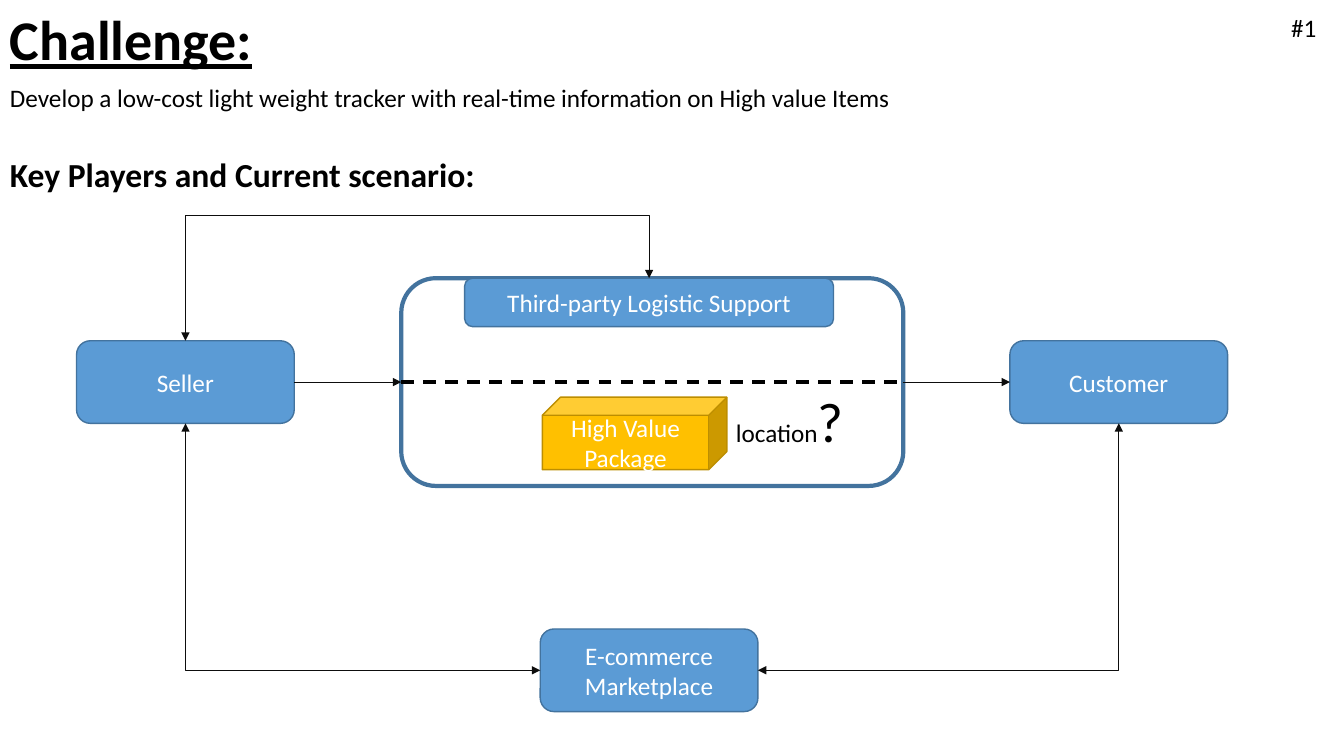
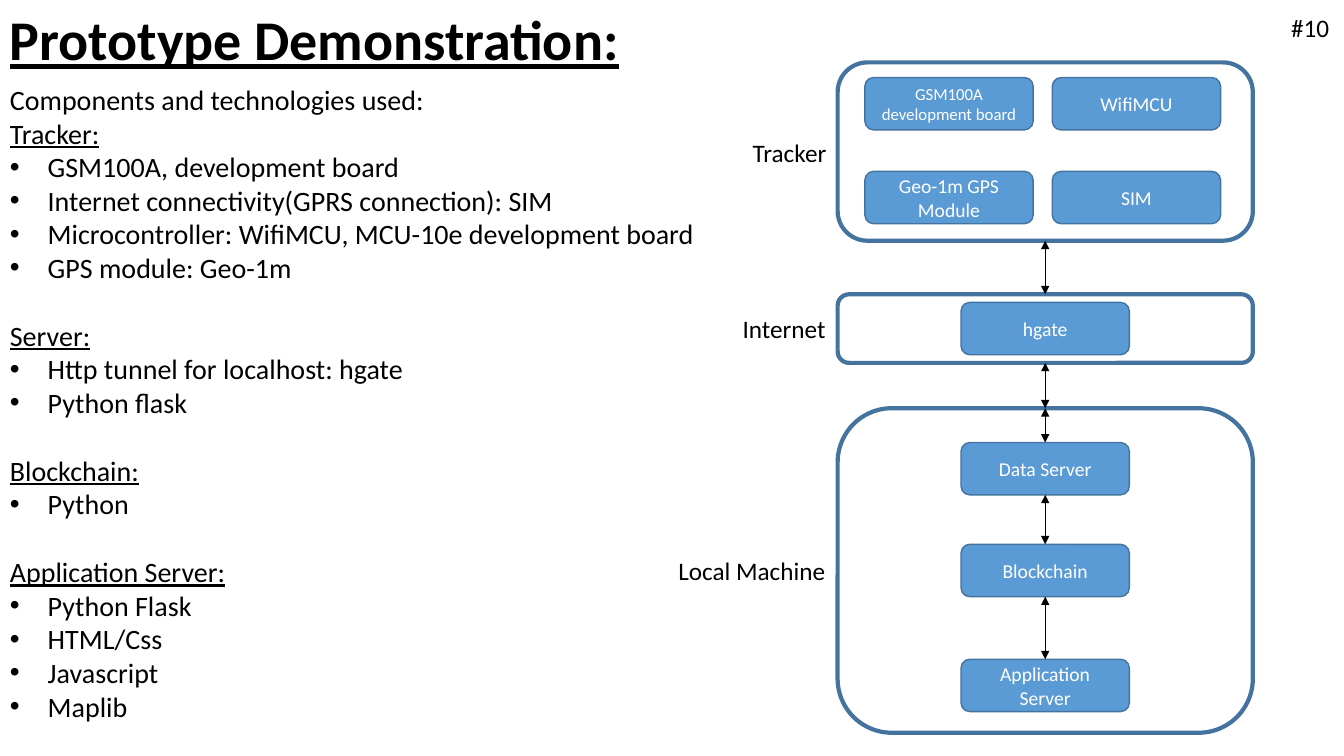
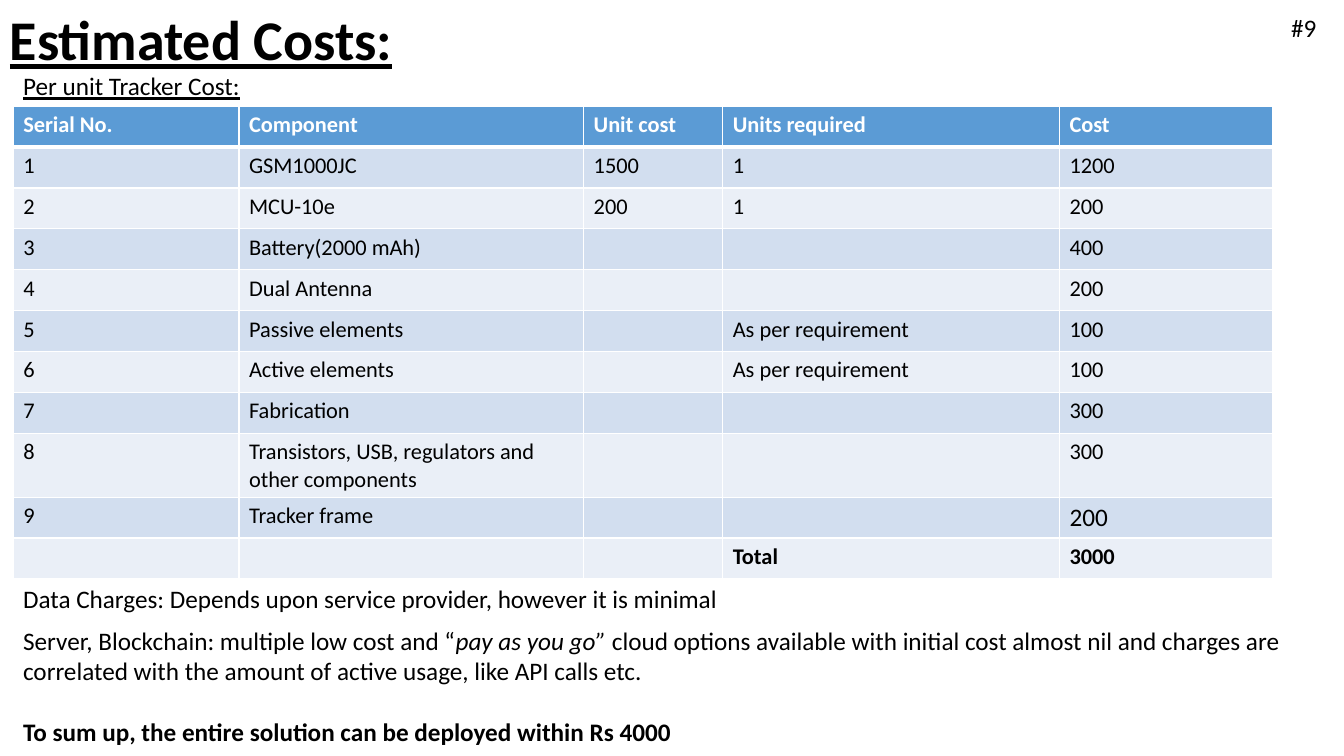
from lxml.etree import SubElement
from pptx import Presentation
from pptx.dml.color import RGBColor
from pptx.enum.dml import MSO_LINE
from pptx.enum.shapes import MSO_CONNECTOR as CXN, MSO_SHAPE as SHAPE
from pptx.enum.text import MSO_ANCHOR, PP_ALIGN
from pptx.oxml.ns import qn
from pptx.util import Pt

FONT = "Calibri"
BLACK = RGBColor(0, 0, 0)
WHITE = RGBColor(0xFF, 0xFF, 0xFF)
INK = RGBColor(0x0D, 0x0D, 0x0D)
BLUE = RGBColor(0x5B, 0x9B, 0xD5)
NAVY = RGBColor(0x43, 0x73, 0x9E)
GOLD = RGBColor(0xFF, 0xC0, 0x00)
DARK_GOLD = RGBColor(0xBD, 0x8E, 0x00)
BAND = RGBColor(0xD2, 0xDE, 0xEF)
PALE_BAND = RGBColor(0xEA, 0xEF, 0xF7)

TOP, LEFT, BOTTOM, RIGHT = range(4)  # connection sites of a rectangle
TITLE = {"bold": True, "underline": True}

COMPONENTS = [
    ("Tracker:", ["GSM100A, development board",
                  "Internet connectivity(GPRS connection): SIM",
                  "Microcontroller: WifiMCU, MCU-10e development board",
                  "GPS module: Geo-1m"]),
    ("Server:", ["Http tunnel for localhost: hgate", "Python flask"]),
    ("Blockchain:", ["Python"]),
    ("Application Server:", ["Python Flask", "HTML/Css", "Javascript", "Maplib"]),
]

COSTS = [
    ("Serial No.", "Component", "Unit cost", "Units required", "Cost"),
    ("1", "GSM1000JC", "1500", "1", "1200"),
    ("2", "MCU-10e", "200", "1", "200"),
    ("3", "Battery(2000 mAh)", "", "", "400"),
    ("4", "Dual Antenna", "", "", "200"),
    ("5", "Passive elements", "", "As per requirement", "100"),
    ("6", "Active elements", "", "As per requirement", "100"),
    ("7", "Fabrication", "", "", "300"),
    ("8", "Transistors, USB, regulators and other components", "", "", "300"),
    ("9", "Tracker frame", "", "", "200"),
    ("", "", "", "Total", "3000"),
]


def add_run(p, text, size, color=BLACK, **fmt):
    """Add a run in the deck font with extra font settings."""
    r = p.add_run()
    r.text = text
    r.font.color.rgb = color
    for name, value in {"name": FONT, "size": Pt(size), **fmt}.items():
        setattr(r.font, name, value)


def add_text(s, box, text="", size=18, wrap=True, **fmt):
    """Add a text box, with its first run if text is given."""
    tf = s.shapes.add_textbox(*map(Pt, box)).text_frame
    tf.word_wrap = wrap
    if text:
        add_run(tf.paragraphs[0], text, size, **fmt)
    return tf


def add_bullet(tf, text, size):
    """Add a bulleted paragraph with a hanging indent."""
    p = tf.add_paragraph()
    pPr = p._p.get_or_add_pPr()
    pPr.set("marL", str(Pt(27)))
    pPr.set("indent", str(-Pt(27)))
    SubElement(pPr, qn("a:buFont")).set("typeface", "Arial")
    SubElement(pPr, qn("a:buChar")).set("char", "•")
    add_run(p, text, size)


def add_node(s, box, text, size=18, kind=SHAPE.ROUNDED_RECTANGLE, fill=BLUE, line=NAVY):
    """Add a filled shape with centred white text."""
    sp = s.shapes.add_shape(kind, *map(Pt, box))
    sp.shadow.inherit = False
    sp.fill.solid()
    sp.fill.fore_color.rgb = fill
    sp.line.color.rgb = line
    sp.line.width = Pt(1)
    tf = sp.text_frame
    tf.word_wrap = True
    tf.vertical_anchor = MSO_ANCHOR.MIDDLE
    p = tf.paragraphs[0]
    p.alignment = PP_ALIGN.CENTER
    add_run(p, text, size, WHITE)
    return sp


def add_frame(s, box):
    """Add an unfilled rounded frame."""
    sp = s.shapes.add_shape(SHAPE.ROUNDED_RECTANGLE, *map(Pt, box))
    sp.shadow.inherit = False
    sp.fill.background()
    sp.line.color.rgb = NAVY
    sp.line.width = Pt(3)
    return sp


def link(s, start, end, ends=("tailEnd",), kind=CXN.STRAIGHT, color=INK, width=0.5, dash=None):
    """Join two (shape, site) pairs with arrowheads at the named ends."""
    c = s.shapes.add_connector(kind, 0, 0, 0, 0)
    c.begin_connect(*start)
    c.end_connect(*end)
    c.line.color.rgb = color
    c.line.width = Pt(width)
    if dash:
        c.line.dash_style = dash
    ln = c.line._get_or_add_ln()
    for name in ends:
        SubElement(ln, qn(f"a:{name}")).set("type", "triangle")
    SubElement(c._element.spPr, qn("a:effectLst"))
    return c


def link_bent(s, start, end, preset, turn=0, flips=(), adjust=None):
    """Join two (shape, site) pairs with a two-headed elbow, turned in degrees."""
    c = link(s, start, end, ("headEnd", "tailEnd"), CXN.ELBOW)
    if turn:
        w, h = c.width, c.height
        c.left, c.top = c.left + (w - h) // 2, c.top + (h - w) // 2
        c.width, c.height = h, w
    xfrm = c._element.spPr.find(qn("a:xfrm"))
    xfrm.set("rot", str(turn * 60000))
    for name in ("flipH", "flipV"):
        xfrm.set(name, str(int(name in flips)))
    geom = c._element.spPr.find(qn("a:prstGeom"))
    geom.set("prst", preset)
    if adjust is not None:
        gd = SubElement(geom.find(qn("a:avLst")), qn("a:gd"))
        gd.set("name", "adj1")
        gd.set("fmla", f"val {adjust}")


def add_cell_borders(cell, bottom):
    """Give a cell white borders, with its own bottom width."""
    tcPr = cell._tc.get_or_add_tcPr()
    for side, width in {"L": 1, "R": 1, "T": 1, "B": bottom}.items():
        ln = SubElement(tcPr, qn(f"a:ln{side}"))
        ln.set("w", str(Pt(width)))
        fill = SubElement(ln, qn("a:solidFill"))
        SubElement(fill, qn("a:srgbClr")).set("val", str(WHITE))


def add_cost_table(s):
    """Add the banded cost table."""
    widths = (161.3, 246.2, 99.4, 240.5, 152.6)
    height = 29.2
    table = s.shapes.add_table(len(COSTS), len(widths), Pt(9.4), Pt(75.9),
                               Pt(sum(widths)), Pt(height * len(COSTS))).table
    for col, width in zip(table.columns, widths):
        col.width = Pt(width)
    last = len(COSTS) - 1
    for i, row in enumerate(COSTS):
        table.rows[i].height = Pt(height)
        for j, text in enumerate(row):
            cell = table.cell(i, j)
            add_cell_borders(cell, 1 if i else 3)
            cell.fill.solid()
            cell.fill.fore_color.rgb = (BAND if i % 2 else PALE_BAND) if i else BLUE
            if text:
                size = 18 if (i, j) == (9, 4) else 16
                add_run(cell.text_frame.paragraphs[0], text, size,
                        BLACK if i else WHITE, bold=i in (0, last))


def new_slide(prs, title, number):
    """Add a blank slide with its title and number."""
    s = prs.slides.add_slide(prs.slide_layouts[6])
    add_text(s, (0, 0, 463.7, 55.4), title, 40, **TITLE)
    add_text(s, (915.1, 5, 33.1 if len(number) < 3 else 41.8, 28.8), number, wrap=False)
    return s


def challenge_slide(prs):
    """Key players and how they are linked today."""
    s = new_slide(prs, "Challenge:", "#1")
    add_text(s, (0, 55.4, 927.4, 28.8),
             "Develop a low-cost light weight tracker with real-time information "
             "on High value Items")
    add_text(s, (0, 106.6, 351.4, 36), "Key Players and Current scenario:", 24, bold=True)

    size = (155.5, 59)
    market = add_node(s, (385.9, 449.3, *size), "E-commerce Marketplace")
    seller = add_node(s, (54.7, 243.4, *size), "Seller")
    customer = add_node(s, (721.4, 243.4, *size), "Customer")
    transit = add_frame(s, (286.6, 198.7, 358.6, 148.4))
    logistics = add_node(s, (331.9, 198.7, 263.5, 34.6), "Third-party Logistic Support")

    link(s, (seller, RIGHT), (transit, LEFT))
    link(s, (transit, RIGHT), (customer, LEFT))
    link(s, (transit, LEFT), (transit, RIGHT), (), color=BLACK, width=2.25,
         dash=MSO_LINE.DASH)
    link_bent(s, (market, RIGHT), (customer, BOTTOM), "bentConnector2", flips=("flipV",))
    link_bent(s, (seller, BOTTOM), (market, LEFT), "bentConnector2", 270, ("flipH",))
    link_bent(s, (seller, TOP), (logistics, TOP), "bentConnector3", 90,
              ("flipH", "flipV"), 200400)

    p = add_text(s, (505.4, 272.9, 117.4, 55.4), "location").paragraphs[0]
    p.alignment = PP_ALIGN.CENTER
    add_run(p, "?", 40)
    add_node(s, (387.4, 283.7, 131.8, 51.8), "High Value Package",
             kind=SHAPE.CUBE, fill=GOLD, line=DARK_GOLD)


def prototype_slide(prs):
    """Component list beside the system diagram."""
    s = new_slide(prs, "Prototype Demonstration:", "#10")
    tf = add_text(s, (0, 55.4, 506.9, 468), "Components and technologies used:", 20)
    for i, (heading, items) in enumerate(COMPONENTS):
        p = tf.add_paragraph()
        p.space_before = Pt(24.4 if i else 0)
        add_run(p, heading, 20, underline=True)
        for item in items:
            add_bullet(tf, item, 20)

    tracker, internet, local = [
        add_frame(s, (598.3, top, 296.6, height))
        for top, height in ((44.6, 127.4), (210.2, 49), (291.6, 231.8))]
    for text, left, top, width in (("Tracker", 530.6, 94.3, 67.7),
                                   ("Internet", 523.4, 220.3, 74.2),
                                   ("Local Machine", 477.4, 393.1, 121)):
        add_text(s, (left, top, width, 28.8), text, wrap=False)

    size = (120.2, 37.4)
    parts = ("GSM100A development board", "WifiMCU", "Geo-1m GPS Module", "SIM")
    for i, text in enumerate(parts):
        row, col = divmod(i, 2)
        add_node(s, (617.8 + 133.9 * col, 55.4 + 67 * row, *size), text, 14 if i else 12)
    _, data, chain, app = [
        add_node(s, (686.5, top, *size), text, 14)
        for text, top in (("hgate", 216), ("Data Server", 316.1),
                          ("Blockchain", 388.8), ("Application Server", 470.9))]

    for start, end in (((tracker, BOTTOM), (internet, TOP)),
                       ((internet, BOTTOM), (local, TOP)),
                       ((local, TOP), (data, TOP)),
                       ((data, BOTTOM), (chain, TOP)),
                       ((chain, BOTTOM), (app, TOP))):
        link(s, start, end, ("headEnd", "tailEnd"), color=BLACK)


def costs_slide(prs):
    """Cost table with closing remarks."""
    s = new_slide(prs, "Estimated Costs:", "#9")
    add_cost_table(s)
    add_text(s, (9.4, 46.8, 171.4, 28.8), "Per unit Tracker Cost:", wrap=False, underline=True)
    add_text(s, (9.4, 413.3, 512.6, 28.8),
             "Data Charges: Depends upon service provider, however it is minimal", wrap=False)
    tf = add_text(s, (9.4, 442.8, 933.8, 94.3), "Server, Blockchain: multiple low cost and “")
    p = tf.paragraphs[0]
    add_run(p, "pay as you go” ", 18, italic=True)
    add_run(p, "cloud options available with initial cost almost nil and charges are "
               "correlated with the amount of active usage, like API calls etc.", 18)
    p = tf.add_paragraph()
    p.space_before = Pt(22)
    add_run(p, "To sum up, the entire solution can be deployed within Rs 4000", 18, bold=True)


def main():
    """Build and save the deck."""
    prs = Presentation()
    prs.slide_width, prs.slide_height = Pt(960), Pt(540)
    challenge_slide(prs)
    prototype_slide(prs)
    costs_slide(prs)
    prs.save("out.pptx")


main()
